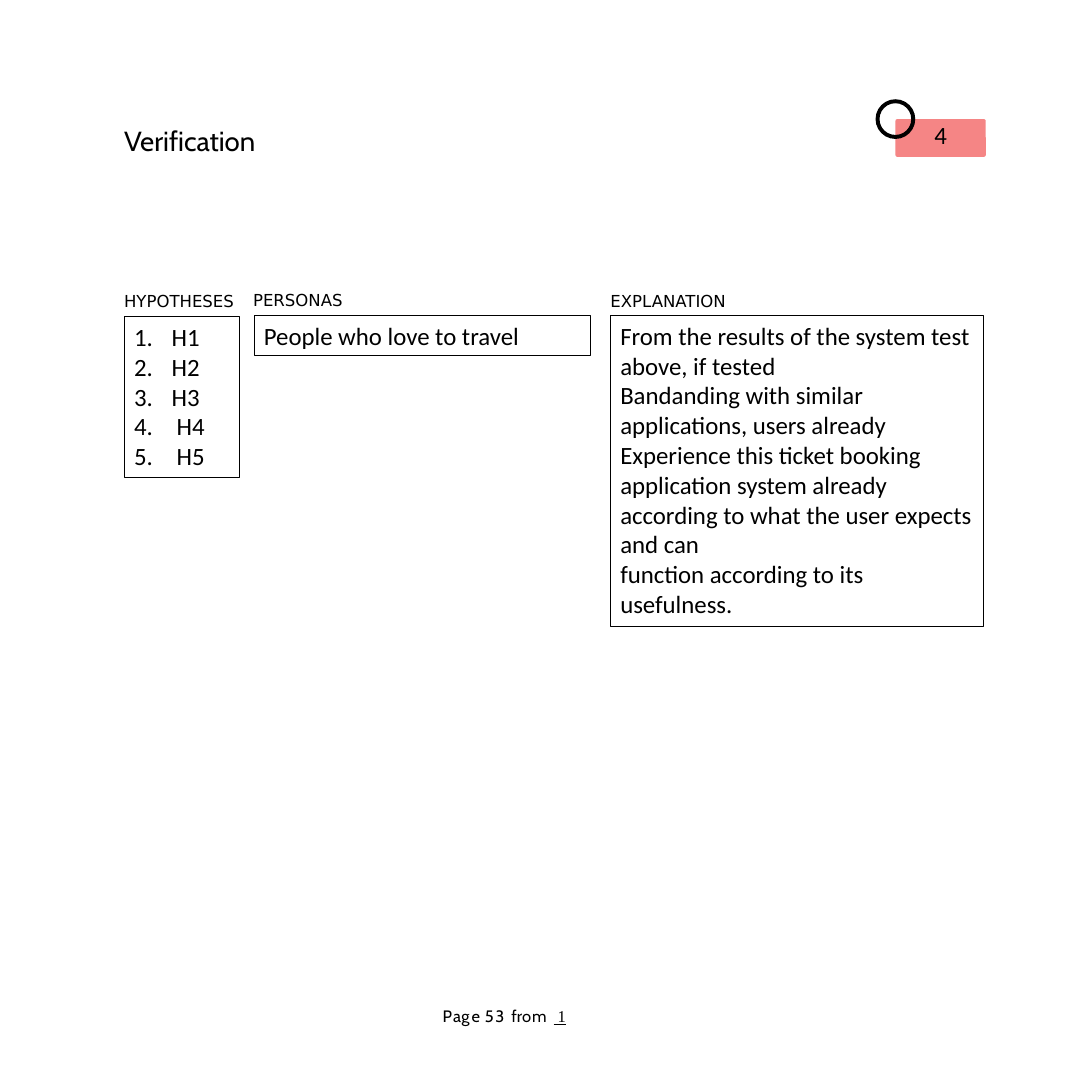
import pptx
import pptx.util
import pptx.dml.color
import pptx.enum.shapes
import pptx.enum.text
import pptx.oxml.ns
from lxml import etree

PX = 9144
COLORS = {"ink": "000000", "badge": "F58585"}
HEADING_FONT, LABEL_FONT, BODY_FONT, NUMBER_FONT = "Cabin", "DejaVu Sans", "Calibri", "Times New Roman"

TITLE = ("Verification", (125, 123, 500, 35))
BADGE = ("4", (902, 120, 91, 38))
RING = (882, 100, 40, 40)
LABELS = [
    ("HYPOTHESES", (125, 291, 247, 22)),
    ("PERSONAS", (255, 290, 160, 22)),
    ("EXPLANATION", (615, 291, 126, 22)),
]
HYPOTHESES = [("H1", 38), ("H2", 38), ("H3", 38), ("H4", 43), ("H5", 43)]
HYPOTHESES_BOX = (125, 319, 116, 162)
ANSWERS = [
    ("People who love to travel", (256, 318, 339, 40)),
    ("From the results of the system test above, if tested\n"
     "Bandanding with similar applications, users already\n"
     "Experience this ticket booking application system already\n"
     "according to what the user expects and can\n"
     "function according to its usefulness.", (615, 318, 376, 313)),
]
FOOTER_BOX = (446, 1014, 141, 20)
FOOTER = [("P", 70), ("a", 20), ("g", 140), ("e ", 40), ("53 ", 120),
          ("fr", -10), ("o", 70), ("m ", 110)]
FOOTER_TOTAL = " 1"


def color(name):
    return pptx.dml.color.RGBColor.from_string(COLORS[name])


def emu(box):
    return [length * PX for length in box]


def style(paragraph, font, size):
    paragraph.alignment = pptx.enum.text.PP_ALIGN.LEFT
    paragraph.space_before = pptx.util.Pt(0)
    paragraph.font.name = font
    paragraph.font.size = pptx.util.Pt(size)
    paragraph.font.color.rgb = color("ink")


def prepare(frame, inset=None):
    frame.word_wrap = True
    frame.auto_size = pptx.enum.text.MSO_AUTO_SIZE.NONE
    frame.vertical_anchor = pptx.enum.text.MSO_ANCHOR.TOP
    if inset is not None:
        frame.margin_left = frame.margin_right = frame.margin_bottom = 0
        frame.margin_top = inset * PX
    return frame


def write(shape, text, font, size, inset=None):
    paragraph = prepare(shape.text_frame, inset).paragraphs[0]
    paragraph.text = text
    style(paragraph, font, size)
    return paragraph


def place(shape, box):
    shape.left, shape.top, shape.width, shape.height = emu(box)


def outline(shape):
    shape.line.color.rgb = color("ink")
    shape.line.width = pptx.util.Pt(0.75)


def add_solid(slide, kind, box, fill, adjustment):
    shape = slide.shapes.add_shape(kind, *emu(box))
    shape.shadow.inherit = False
    shape.adjustments[0] = adjustment
    shape.fill.solid()
    shape.fill.fore_color.rgb = color(fill)
    shape.line.fill.background()
    return shape


def add_hypotheses(numbered_list):
    place(numbered_list, HYPOTHESES_BOX)
    outline(numbered_list)
    frame = prepare(numbered_list.text_frame)
    for index, (hypothesis, indent) in enumerate(HYPOTHESES):
        paragraph = frame.add_paragraph() if index else frame.paragraphs[0]
        paragraph.text = hypothesis
        properties = paragraph._p.get_or_add_pPr()
        properties.set("marL", str(indent * PX))
        properties.set("indent", str(-indent * PX))
        etree.SubElement(properties, pptx.oxml.ns.qn("a:buAutoNum"), type="arabicPeriod")
        style(paragraph, BODY_FONT, 18)


def add_footer(slide):
    page = slide.shapes.add_textbox(*emu(FOOTER_BOX))
    paragraph = prepare(page.text_frame, 0).paragraphs[0]
    paragraph.line_spacing = pptx.util.Pt(14.1)
    style(paragraph, HEADING_FONT, 12)
    for text, spacing in FOOTER:
        run = paragraph.add_run()
        run.text = text
        run._r.get_or_add_rPr().set("spc", str(spacing))
    total = paragraph.add_run()
    total.text = FOOTER_TOTAL
    total.font.name = NUMBER_FONT
    total.font.underline = True


def main():
    deck = pptx.Presentation()
    deck.slide_width = deck.slide_height = 1100 * PX
    slide = deck.slides.add_slide(deck.slide_layouts[1])
    shapes = pptx.enum.shapes.MSO_SHAPE

    title_text, title_box = TITLE
    place(slide.shapes.title, title_box)
    write(slide.shapes.title, title_text, HEADING_FONT, 20, 2)

    badge_text, badge_box = BADGE
    badge = add_solid(slide, shapes.ROUNDED_RECTANGLE, badge_box, "badge", 0.05)
    write(badge, badge_text, BODY_FONT, 18, 0).alignment = pptx.enum.text.PP_ALIGN.CENTER
    add_solid(slide, shapes.DONUT, RING, "ink", 0.1)

    for label, box in LABELS:
        write(slide.shapes.add_textbox(*emu(box)), label, LABEL_FONT, 12, 2)

    add_hypotheses(slide.placeholders[1])
    for answer, box in ANSWERS:
        panel = slide.shapes.add_shape(shapes.RECTANGLE, *emu(box))
        panel.shadow.inherit = False
        panel.fill.background()
        outline(panel)
        write(panel, answer, BODY_FONT, 18)

    add_footer(slide)
    deck.save("out.pptx")


if __name__ == "__main__":
    main()
